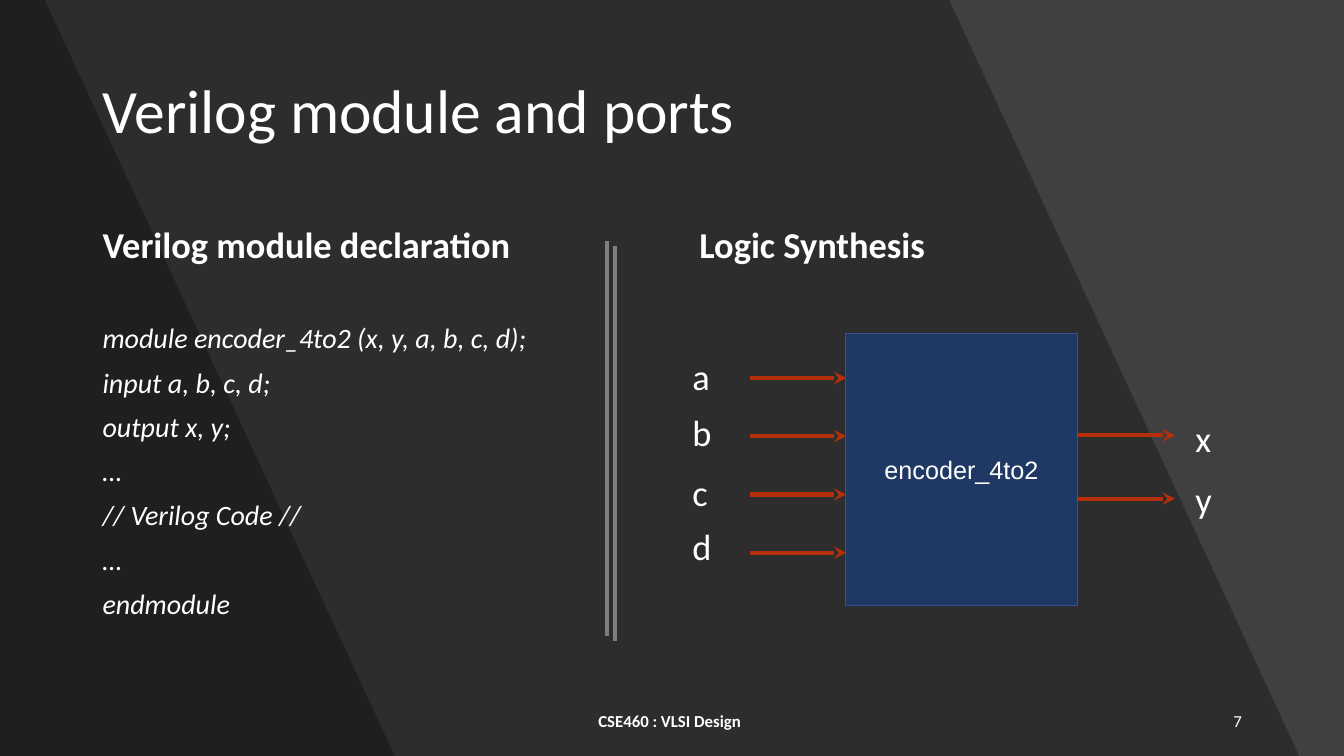
from dataclasses import dataclass

from lxml import etree
from pptx import Presentation
from pptx.dml.color import RGBColor
from pptx.enum.shapes import MSO_CONNECTOR, MSO_SHAPE
from pptx.enum.text import MSO_ANCHOR, PP_ALIGN
from pptx.oxml.ns import qn
from pptx.util import Pt

LEFT, CENTER, RIGHT = PP_ALIGN.LEFT, PP_ALIGN.CENTER, PP_ALIGN.RIGHT
TOP, MIDDLE = MSO_ANCHOR.TOP, MSO_ANCHOR.MIDDLE
RECTANGLE = MSO_SHAPE.RECTANGLE
STRAIGHT = MSO_CONNECTOR.STRAIGHT


@dataclass(frozen=True)
class Theme:
    font: str = "Calibri"
    block_font: str = "Arial"
    text: str = "FFFFFF"
    background: str = "404040"
    shade: str = "000000"
    shade_opacity: int = 29
    block: str = "1F3864"
    block_edge: str = "31538F"
    arrow: str = "B52F0B"
    rail: str = "7F7F7F"
    title: int = 44
    heading: int = 26
    code: int = 20
    block_label: int = 18
    footer: int = 12


class Deck:
    def __init__(self, theme, width, height):
        self.theme = theme
        self.prs = Presentation()
        self.prs.slide_width, self.prs.slide_height = Pt(width), Pt(height)
        self.s = self.prs.slides.add_slide(self.prs.slide_layouts[6])

    def apply(self, target, **formats):
        for name, value in formats.items():
            setattr(target, name, value)

    def fill(self, sp, color):
        sp.shadow.inherit = False
        sp.fill.solid()
        sp.fill.fore_color.rgb = RGBColor.from_string(color)
        sp.line.fill.background()

    def set_lines(self, sp, lines, size, anchor=MIDDLE, spacing=None, **formats):
        tf = sp.text_frame
        self.apply(tf, word_wrap=True, vertical_anchor=anchor)
        for i, (text, before, font) in enumerate(lines):
            p = tf.paragraphs[0] if i == 0 else tf.add_paragraph()
            self.apply(p, space_before=Pt(before), line_spacing=spacing,
                       **{"alignment": LEFT, **formats})
            r = p.add_run()
            r.text = text
            self.apply(r.font, **{"name": self.theme.font, "size": Pt(size), **font})
            r.font.color.rgb = RGBColor.from_string(self.theme.text)

    def text(self, x, y, w, h, lines, size, **formats):
        sp = self.s.shapes.add_textbox(Pt(x), Pt(y), Pt(w), Pt(h))
        self.set_lines(sp, lines, size, **formats)

    def rect(self, x, y, w, h, color):
        sp = self.s.shapes.add_shape(RECTANGLE, Pt(x), Pt(y), Pt(w), Pt(h))
        self.fill(sp, color)
        return sp

    def block(self, x, y, w, h, label):
        sp = self.rect(x, y, w, h, self.theme.block)
        sp.line.color.rgb = RGBColor.from_string(self.theme.block_edge)
        sp.line.width = Pt(1)
        self.set_lines(sp, [(label, 0, {"name": self.theme.block_font})],
                       self.theme.block_label, alignment=CENTER)

    def shade(self, top_right, bottom_right, height):
        builder = self.s.shapes.build_freeform(0, 0, scale=Pt(1))
        builder.add_line_segments(
            [(top_right, 0), (bottom_right, height), (0, height)], close=True)
        sp = builder.convert_to_shape()
        self.fill(sp, self.theme.shade)
        color = sp._element.spPr.find(qn("a:solidFill")).find(qn("a:srgbClr"))
        etree.SubElement(color, qn("a:alpha"), val=str(self.theme.shade_opacity * 1000))

    def line(self, x1, y1, x2, y2, color, arrow=False):
        sp = self.s.shapes.add_connector(STRAIGHT, Pt(x1), Pt(y1), Pt(x2), Pt(y2))
        sp.line.color.rgb = RGBColor.from_string(color)
        sp.line.width = Pt(3)
        spPr = sp._element.spPr
        if arrow:
            etree.SubElement(spPr.find(qn("a:ln")), qn("a:tailEnd"), type="stealth")
        etree.SubElement(spPr, qn("a:effectLst"))

    def port(self, name, label_x, label_y, arrow_x, arrow_y):
        self.line(arrow_x, arrow_y, arrow_x + 69, arrow_y, self.theme.arrow, arrow=True)
        self.text(label_x, label_y, 39, 39, [(name, 0, {})], self.theme.heading)


def main():
    theme = Theme()
    width, height = 960, 540
    deck = Deck(theme, width, height)
    bold, italic = {"bold": True}, {"italic": True}
    heading = {"bold": True, "size": Pt(theme.heading)}

    deck.rect(0, 0, width, height, theme.background)
    deck.shade(678.2, 928, height)
    deck.shade(31.7, 282.2, height)

    deck.text(66.2, 28.8, 828, 104.4, [("Verilog module and ports", 0, {})],
              theme.title, spacing=0.9)

    code = [
        "module encoder_4to2 (x, y, a, b, c, d);",
        "input a, b, c, d;",
        "output x, y;",
        "…",
        "// Verilog Code //",
        "…",
        "endmodule",
    ]
    declaration = [("Verilog module declaration", 0, heading)]
    declaration += [(text, 10 if i else 42, italic) for i, text in enumerate(code)]
    synthesis = [("Logic Synthesis", 0, heading)]
    for x, lines in ((66.2, declaration), (492.5, synthesis)):
        deck.text(x, 158.4, 401, 328.3, lines, theme.code, anchor=TOP, spacing=0.9)

    deck.block(604, 238.3, 165.6, 194.4, "encoder_4to2")
    for i, (name, y) in enumerate(zip("abcd", (249.1, 289.4, 331.9, 370.8))):
        deck.port(name, 487.5, y, 535.5, 270 + i * 41.6)
    for i, (name, y) in enumerate(zip("xy", (293, 337))):
        deck.port(name, 846.7, y, 770.2, 311 + i * 45.2)

    for x, y in ((433.4, 172), (439.2, 176)):
        deck.line(x, y, x, y + 282, theme.rail)

    deck.text(316.4, 500.4, 324, 28.8, [("CSE460 : VLSI Design", 0, bold)],
              theme.footer, alignment=CENTER)
    deck.text(678.2, 500.4, 216, 28.8, [("7", 0, {})], theme.footer, alignment=RIGHT)
    deck.prs.save("out.pptx")


if __name__ == "__main__":
    main()
